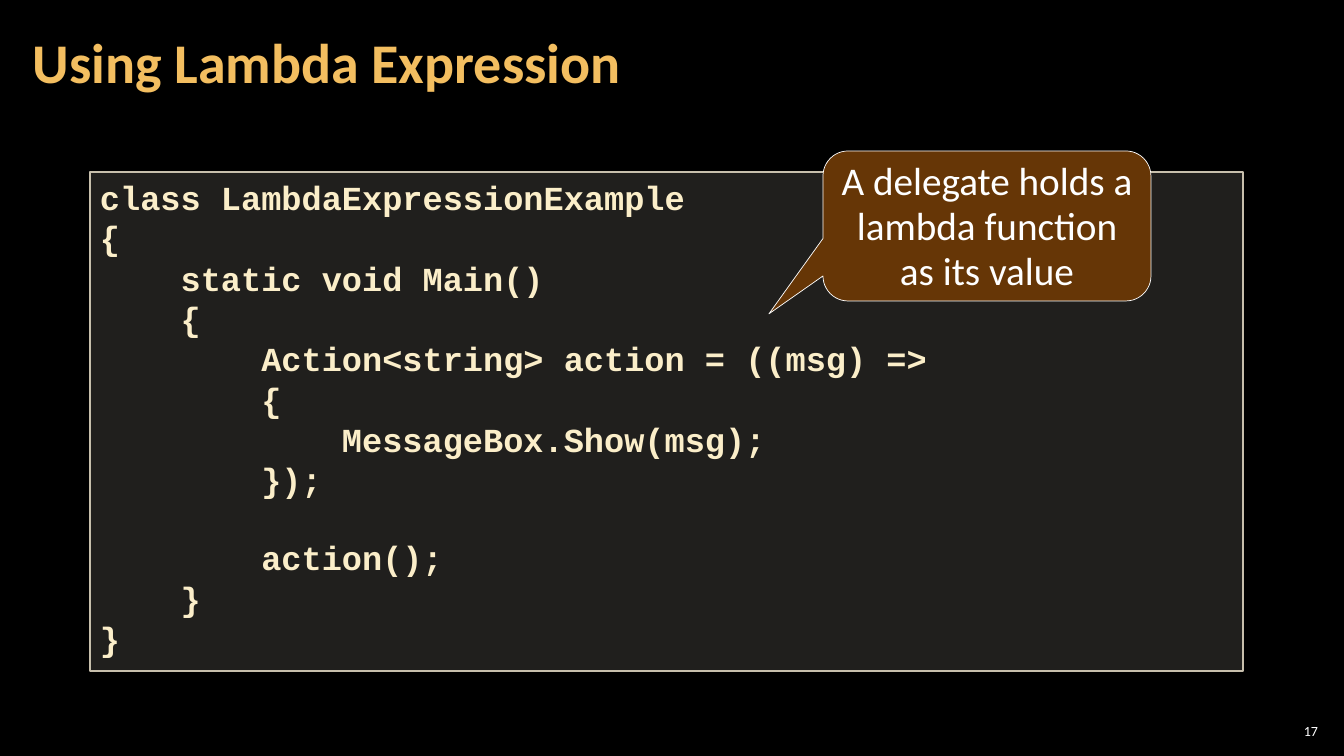
"""Build the slide on using a lambda expression."""
from lxml import etree
from pptx import Presentation
from pptx import util as u
from pptx.dml.color import RGBColor
from pptx.enum import shapes, text
from pptx.oxml.ns import qn

PX = 914400 / 100.8
MID, TOP = text.MSO_ANCHOR.MIDDLE, text.MSO_ANCHOR.TOP
LEFT, RIGHT, CENTER = text.PP_ALIGN.LEFT, text.PP_ALIGN.RIGHT, text.PP_ALIGN.CENTER
KIND = shapes.MSO_SHAPE

CODE = """class LambdaExpressionExample
{
    static void Main()
    {
        Action<string> action = ((msg) =>
        {
            MessageBox.Show(msg);
        });

        action();
    }
}"""


def px(*nums):
    return [u.Emu(round(n * PX)) for n in nums]


def tint(code):
    return RGBColor.from_string(code)


deck = Presentation()
deck.slide_width, deck.slide_height = px(1344, 756)
slide = deck.slides.add_slide(deck.slide_layouts[6])
back = slide.background.fill
back.solid()
back.fore_color.rgb = tint("000000")

number = slide.shapes.add_textbox(*px(1275, 720, 47, 21))
title = slide.shapes.add_textbox(*px(21, 4, 1055, 122))
panel = slide.shapes.add_shape(KIND.RECTANGLE, *px(90, 172, 1153, 499))
callout = slide.shapes.add_shape(KIND.ROUNDED_RECTANGULAR_CALLOUT, *px(823, 151, 328, 150))
for spot, value in enumerate((-0.665, 0.586, 0.167)):
    callout.adjustments[spot] = value

for shape, fill, line, width in (
    (panel, "D9D5C7", "C7BFAC", 1),
    (callout, "663606", "FFFFFF", 0.5),
):
    shape.shadow.inherit = False
    shape.fill.solid()
    shape.fill.fore_color.rgb = tint(fill)
    shape.line.color.rgb = tint(line)
    shape.line.width = u.Pt(width)
shade = panel.fill._xPr.find(qn("a:solidFill"))[0]
etree.SubElement(shade, qn("a:alpha"), val="15000")

sans = {"name": "Calibri", "bold": False}
items = (
    (number, "17", "FFFFFF", MID, (4, 4), {"alignment": RIGHT}, {**sans, "size": u.Pt(10)}),
    (title, "Using Lambda Expression", "F3BE60", MID, (12, 4),
     {"alignment": LEFT, "line_spacing": 0.9}, {**sans, "size": u.Pt(40), "bold": True}),
    (panel, CODE, "FBEEC9", TOP, (10, 5), {"alignment": LEFT},
     {"name": "Courier New", "size": u.Pt(24), "bold": True}),
    (callout, "A delegate holds a lambda function as its value", "FFFFFF", MID, (8, 0),
     {"alignment": CENTER, "line_spacing": u.Pt(32)}, {**sans, "size": u.Pt(28)}),
)
for shape, words, color, anchor, (side, edge), layout, style in items:
    frame = shape.text_frame
    frame.word_wrap = True
    frame.vertical_anchor = anchor
    frame.margin_left, frame.margin_right = px(side, side)
    frame.margin_top, frame.margin_bottom = px(edge, edge)
    frame.text = words.replace("\n\n", "\n")
    for para in frame.paragraphs:
        for key, value in layout.items():
            setattr(para, key, value)
        font = para.runs[0].font
        for key, value in style.items():
            setattr(font, key, value)
        font.color.rgb = tint(color)

for para in panel.text_frame.paragraphs:
    if para.text.strip() == "action();":
        para.space_before = u.Pt(27)

deck.save("out.pptx")
